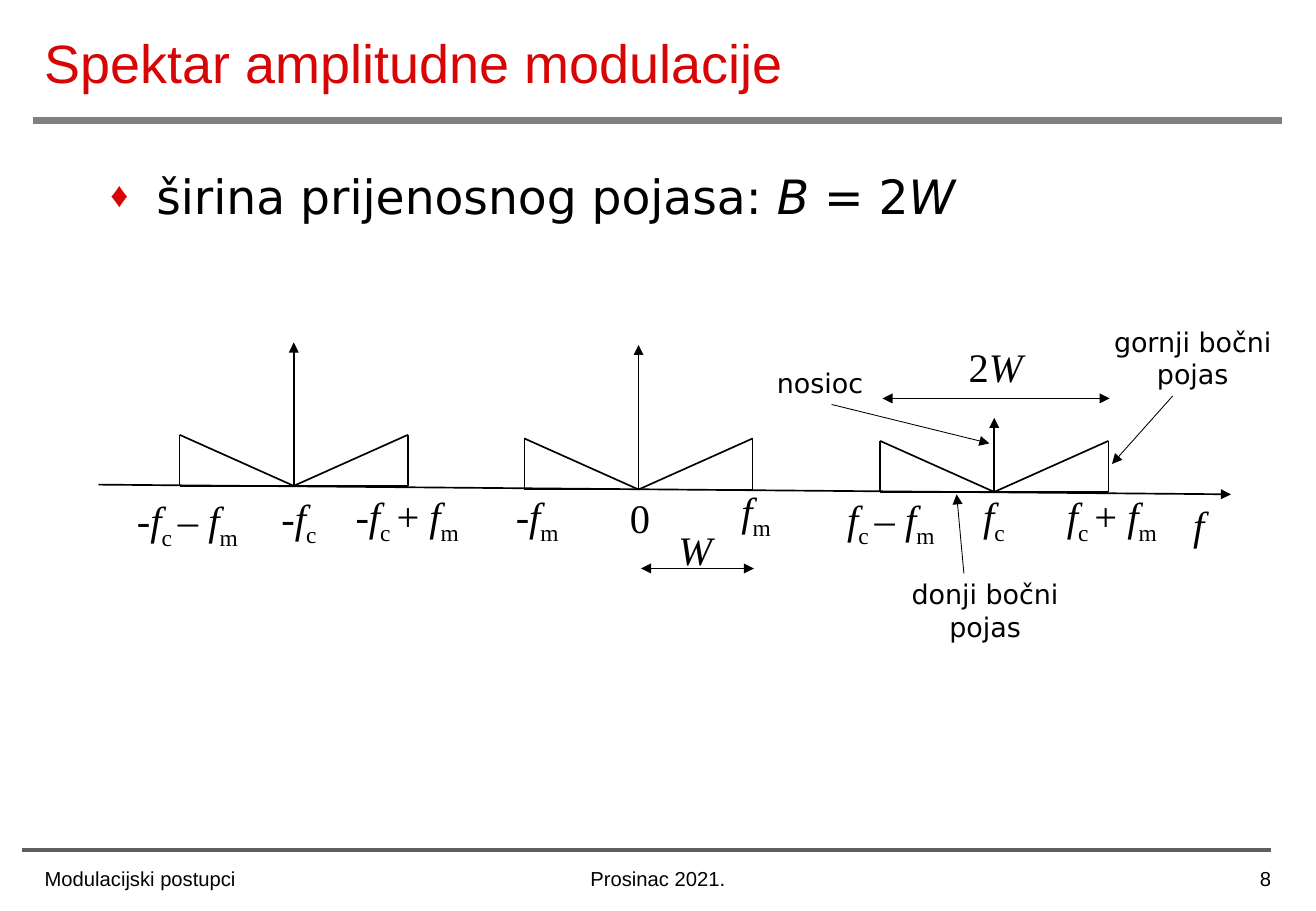
from lxml.etree import SubElement
from pptx import Presentation
from pptx.dml.color import RGBColor
from pptx.enum.shapes import MSO_CONNECTOR
from pptx.enum.text import MSO_ANCHOR, MSO_AUTO_SIZE, PP_ALIGN
from pptx.oxml.ns import qn
from pptx.util import Inches, Pt

COLORS = {"red": "D70505", "black": "000000", "header": "808080", "footer": "5F5F5F"}
SANS, SERIF, HEADING = "DejaVu Sans", "Times New Roman", "Arial"
THIN, NORMAL = 0.5, 1

# Pieces of the frequency labels: text and style
F, MINUS_F = ("f", "italic"), ("-f", "italic")
SUB_C, SUB_C_GAP, SUB_M = ("c", "sub"), ("c ", "sub"), ("m", "sub")
PLUS, MINUS = ("+ ", ""), ("– ", "")


def format_run(run, size, font, color="black", style=""):
    run.font.size = Pt(size)
    run.font.name = font
    run.font.color.rgb = RGBColor.from_string(COLORS[color])
    run.font.italic = style == "italic"
    if style == "sub":
        run._r.get_or_add_rPr().set("baseline", "-25000")


def add_text(slide, box, pieces, size, font, align=PP_ALIGN.LEFT, wrap=True):
    shape = slide.shapes.add_textbox(*map(Inches, box))
    frame = shape.text_frame
    frame.word_wrap = wrap
    if not wrap:
        frame.auto_size = MSO_AUTO_SIZE.SHAPE_TO_FIT_TEXT
    paragraph = frame.paragraphs[0]
    paragraph.alignment = align
    for text, style in pieces:
        run = paragraph.add_run()
        run.text = text
        format_run(run, size, font, style=style)
    return paragraph


def add_line(slide, start, end, width=NORMAL, color="black", arrows=()):
    line = slide.shapes.add_connector(
        MSO_CONNECTOR.STRAIGHT, *map(Inches, (*start, *end)))
    line.line.width = Pt(width)
    line.line.color.rgb = RGBColor.from_string(COLORS[color])
    for arrow in arrows:
        SubElement(line.line._get_or_add_ln(), qn(f"a:{arrow}"), type="triangle")
    SubElement(line._element.spPr, qn("a:effectLst"))


def add_title(slide, text):
    title = slide.shapes.title
    title.left, title.top, title.width, title.height = map(Inches, (0.27, 0, 9.3, 1.02))
    frame = title.text_frame
    frame.text = text
    frame.auto_size = MSO_AUTO_SIZE.NONE
    frame.vertical_anchor = MSO_ANCHOR.MIDDLE
    frame.paragraphs[0].alignment = PP_ALIGN.LEFT
    format_run(frame.paragraphs[0].runs[0], 32, HEADING, "red")


def add_bullet(paragraph):
    paragraph.space_before = Pt(7)
    properties = paragraph._p.get_or_add_pPr()
    properties.set("marL", str(Inches(0.38)))
    properties.set("indent", str(Inches(-0.38)))
    color = SubElement(properties, qn("a:buClr"))
    SubElement(color, qn("a:srgbClr"), val=COLORS["red"])
    SubElement(properties, qn("a:buSzPct"), val="75000")
    SubElement(properties, qn("a:buFont"), typeface=SERIF)
    SubElement(properties, qn("a:buChar"), char="♦")


def add_spectrum(slide, center, base, peak):
    """Two mirrored sidebands around a vertical arrow."""
    for side in (-1, 1):
        edge = center + side * 0.94
        corners = [(center, base), (edge, base - 0.42), (edge, base)]
        for start, end in zip(corners, corners[1:] + corners[:1]):
            add_line(slide, start, end)
    add_line(slide, (center, base), (center, peak), arrows=["tailEnd"])


def main():
    presentation = Presentation()
    presentation.slide_width = Inches(10.84)
    presentation.slide_height = Inches(7.5)
    slide = presentation.slides.add_slide(presentation.slide_layouts[5])

    # Title, rules and main statement
    add_title(slide, "Spektar amplitudne modulacije")
    add_line(slide, (0.27, 0.99), (10.56, 0.99), 4.25, "header")
    add_line(slide, (0.18, 7), (10.47, 7), 2.25, "footer")
    statement = [("širina prijenosnog pojasa: ", ""), ("B", "italic"),
                 (" = 2", ""), ("W", "italic")]
    add_bullet(add_text(slide, (0.81, 1.33, 9.21, 0.79), statement, 28, SANS))

    # Frequency axis and the three spectra
    add_line(slide, (0.81, 3.99), (10.14, 4.07), arrows=["tailEnd"])
    for center, base, peak in [(2.42, 4, 2.82), (5.26, 4.03, 2.84), (8.19, 4.05, 3.44)]:
        add_spectrum(slide, center, base, peak)

    # Bandwidth arrows
    for left, right, y in [(5.28, 6.21, 4.68), (7.27, 9.14, 3.28)]:
        add_line(slide, (left, y), (right, y), THIN, arrows=["headEnd", "tailEnd"])

    # Frequency and bandwidth labels
    labels = [
        (1.03, 4.03, 1.03, [MINUS_F, SUB_C_GAP, MINUS, F, SUB_M]),
        (2.22, 4.01, 0.49, [MINUS_F, SUB_C]),
        (2.83, 3.99, 1.05, [MINUS_F, SUB_C_GAP, PLUS, F, SUB_M]),
        (4.15, 3.99, 0.58, [MINUS_F, SUB_M]),
        (5.09, 4.01, 0.36, [("0", "")]),
        (6.01, 3.95, 0.44, [F, SUB_M]),
        (6.88, 4.02, 0.92, [F, SUB_C_GAP, MINUS, F, SUB_M]),
        (8, 3.99, 0.38, [F, SUB_C]),
        (8.69, 3.99, 0.94, [F, SUB_C_GAP, PLUS, F, SUB_M]),
        (9.73, 4.07, 0.29, [F]),
        (5.49, 4.27, 0.48, [("W", "italic")]),
        (7.88, 2.77, 0.68, [("2", ""), ("W", "italic")]),
    ]
    for left, top, width, pieces in labels:
        height = 0.56 if pieces[-1][1] == "sub" else 0.5
        add_text(slide, (left, top, width, height), pieces, 24, SERIF, wrap=False)

    # Callouts with pointers
    callouts = [
        ("gornji bočni pojas", 8.95, 2.63, 0.64, (9.66, 3.26), (9.16, 3.82)),
        ("nosioc", 5.88, 2.97, 0.37, (6.85, 3.33), (8.15, 3.65)),
        ("donji bočni pojas", 7.24, 4.71, 0.64, (7.94, 4.72), (7.88, 4.07)),
    ]
    for text, left, top, height, start, end in callouts:
        add_line(slide, start, end, THIN, arrows=["tailEnd"])
        add_text(slide, (left, top, 1.75, height), [(text, "")], 16, SANS, PP_ALIGN.CENTER)

    # Footer
    for text, left, width, align in [
        ("Modulacijski postupci", 0.27, 3.43, PP_ALIGN.LEFT),
        ("Prosinac 2021.", 4.29, 2.26, PP_ALIGN.CENTER),
        ("8", 8.31, 2.26, PP_ALIGN.RIGHT),
    ]:
        add_text(slide, (left, 7.08, width, 0.42), [(text, "")], 12, HEADING, align)

    presentation.save("out.pptx")


main()
